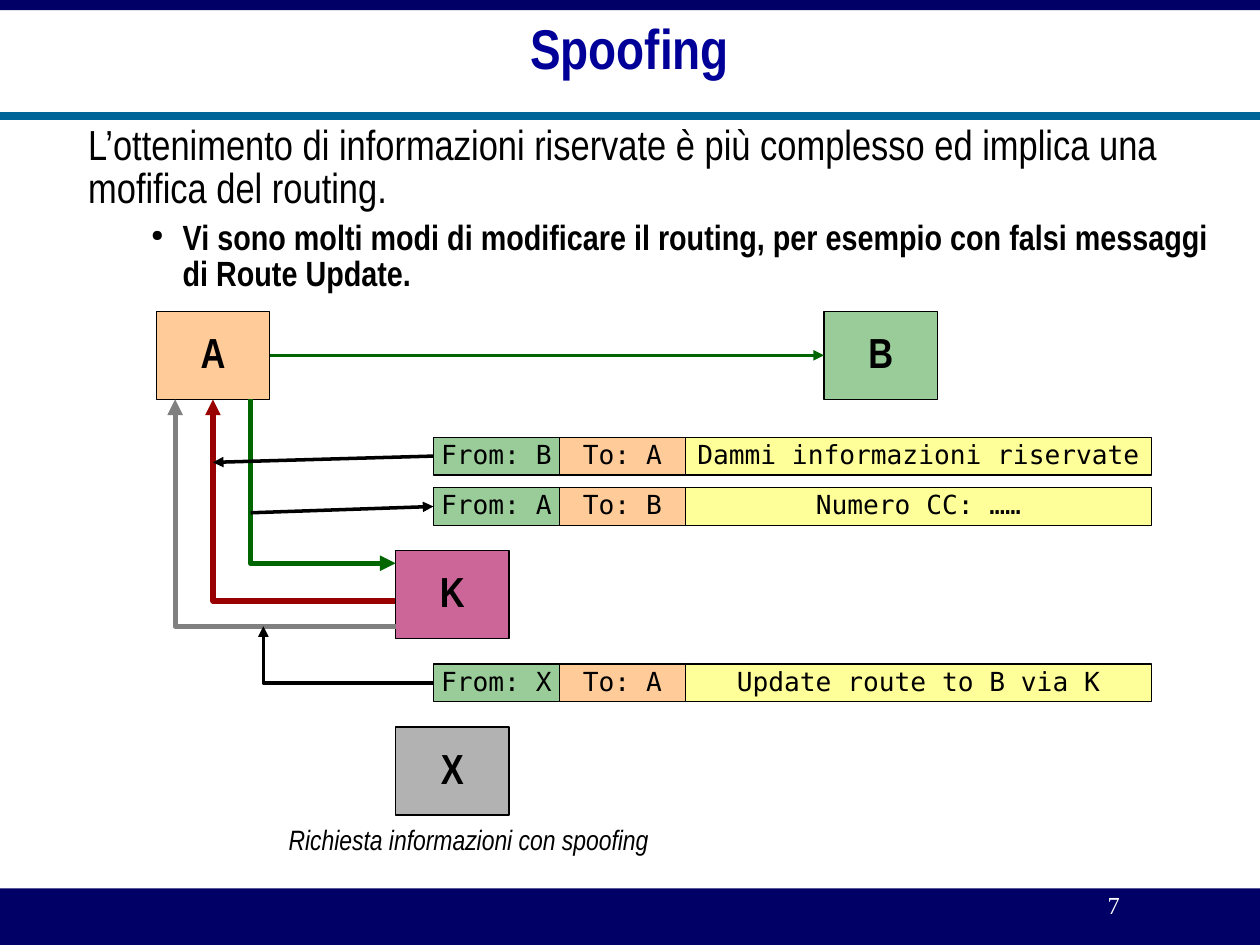
from lxml.etree import SubElement
from pptx import Presentation
from pptx.dml.color import RGBColor
from pptx.enum.shapes import MSO_CONNECTOR, MSO_SHAPE
from pptx.enum.text import MSO_ANCHOR, PP_ALIGN
from pptx.oxml.ns import qn
from pptx.util import Inches, Pt

COLORS = {
    "navy": "000066", "title": "000099", "teal": "006699", "white": "FFFFFF",
    "black": "000000", "green": "99CC99", "orange": "FFCC99", "yellow": "FFFF99",
    "pink": "CC6699", "silver": "B2B2B2", "red": "990000", "grey": "808080",
    "dark green": "006600",
}
FONTS = {
    "title": {"name": "Arial Narrow", "size": Pt(32), "bold": True},
    "lead": {"name": "Arial Narrow", "size": Pt(24), "bold": False},
    "point": {"name": "Arial Narrow", "size": Pt(20), "bold": True},
    "host": {"name": "Arial Narrow", "size": Pt(24), "bold": True},
    "packet": {"name": "DejaVu Sans Mono", "size": Pt(15)},
    "caption": {"name": "Arial Narrow", "size": Pt(16), "italic": True},
    "number": {"name": "Times New Roman", "size": Pt(14)},
}
CELL = 0.1  # inches per grid column and row


class SlideBuilder:
    def __init__(self, slide):
        self.slide = slide
        self.origin = (0, 0)

    def point(self, column, row):
        left, top = self.origin
        return Inches((left + column) * CELL), Inches((top + row) * CELL)

    def size(self, columns, rows):
        return Inches(columns * CELL), Inches(rows * CELL)

    def color(self, name):
        return RGBColor.from_string(COLORS[name])

    def add_text(self, paragraph, text, style, color="black", align=PP_ALIGN.LEFT):
        layout = {"alignment": align, "line_spacing": 0.86}
        for key, value in layout.items():
            setattr(paragraph, key, value)
        run = paragraph.add_run()
        run.text = text
        for key, value in FONTS[style].items():
            setattr(run.font, key, value)
        run.font.color.rgb = self.color(color)

    def frame(self, shape, anchor=MSO_ANCHOR.MIDDLE, wrap=False):
        settings = {"margin_left": 0, "margin_top": 0, "margin_right": 0,
                    "margin_bottom": 0, "vertical_anchor": anchor, "word_wrap": wrap}
        for key, value in settings.items():
            setattr(shape.text_frame, key, value)
        return shape.text_frame

    def box(self, column, row, columns, rows, fill, text="", style="packet", outline="black"):
        shape = self.slide.shapes.add_shape(
            MSO_SHAPE.RECTANGLE, *self.point(column, row), *self.size(columns, rows))
        shape.shadow.inherit = False
        shape.fill.solid()
        shape.fill.fore_color.rgb = self.color(fill)
        if outline:
            shape.line.color.rgb = self.color(outline)
            shape.line.width = Pt(0)
        else:
            shape.line.fill.background()
        if text:
            self.add_text(self.frame(shape).paragraphs[0], text, style, align=PP_ALIGN.CENTER)

    def text_area(self, column, row, columns, rows, anchor=MSO_ANCHOR.TOP, wrap=True):
        area = self.slide.shapes.add_textbox(*self.point(column, row), *self.size(columns, rows))
        return self.frame(area, anchor, wrap)

    def bullet(self, paragraph, indent, hanging=0, char=None):
        properties = paragraph._p.get_or_add_pPr()
        properties.set("marL", str(Inches(indent)))
        properties.set("indent", str(-Inches(hanging)))
        if char:
            bullet_color = SubElement(properties, qn("a:buClr"))
            SubElement(bullet_color, qn("a:srgbClr"), val=COLORS["black"])
            SubElement(properties, qn("a:buSzPct"), val="45000")
            SubElement(properties, qn("a:buChar"), char=char)

    def finish_line(self, line, color, width, arrow):
        line.line.color.rgb = self.color(color)
        line.line.width = Pt(width)
        if arrow:
            SubElement(line.line._get_or_add_ln(), qn(f"a:{arrow}End"), type="triangle")
        SubElement(line._element.spPr, qn("a:effectLst"))

    def straight(self, start, end, color="black", width=0, arrow="tail"):
        line = self.slide.shapes.add_connector(
            MSO_CONNECTOR.STRAIGHT, *self.point(*start), *self.point(*end))
        self.finish_line(line, color, width, arrow)

    def elbow(self, start, end, color="black", width=0, arrow="tail"):
        """One bend: left from start, then up to end."""
        line = self.slide.shapes.add_connector(
            MSO_CONNECTOR.ELBOW, *self.point(*end), *self.point(*start))
        properties = line._element.spPr
        properties.find(qn("a:xfrm")).set("rot", "10800000")
        properties.find(qn("a:prstGeom")).set("prst", "bentConnector2")
        self.finish_line(line, color, width, arrow)


def main():
    deck = Presentation()
    deck.slide_width, deck.slide_height = Inches(10), Inches(7.5)
    page = SlideBuilder(deck.slides.add_slide(deck.slide_layouts[6]))

    # Bands, rule and page number
    page.box(0, 70.5, 100, 4.5, "navy", outline=None)
    page.box(0, 0, 100, 0.8, "navy", outline=None)
    page.straight((0, 9.2), (100, 9.2), "teal", 4.5, arrow=None)
    number = page.text_area(78, 71, 20.8, 2.3)
    page.add_text(number.paragraphs[0], "7", "number", "white", PP_ALIGN.CENTER)

    # Title and body
    title = page.text_area(2, 0, 96, 8.3, MSO_ANCHOR.MIDDLE)
    page.add_text(title.paragraphs[0], "Spoofing", "title", "title", PP_ALIGN.CENTER)
    body = page.text_area(2, 10, 96, 58)
    lead, point = body.paragraphs[0], body.add_paragraph()
    page.add_text(lead, "L’ottenimento di informazioni riservate è più complesso "
                        "ed implica una mofifica del routing.", "lead")
    page.add_text(point, "Vi sono molti modi di modificare il routing, per esempio "
                         "con falsi messaggi di Route Update.", "point")
    lead.space_before, point.space_before = Pt(4.5), Pt(5)
    page.bullet(lead, 0.5)
    page.bullet(point, 1.25, 0.25, "●")

    # Diagram, counted from the corner of host A
    page.origin = (12.4, 24.7)
    page.elbow((19, 23), (4.5, 7), "red", 3)
    hosts = [("A", 0, 0, "orange"), ("B", 53, 0, "green"),
             ("K", 19, 19, "pink"), ("X", 19, 33, "silver")]
    for name, column, row, fill in hosts:
        page.box(column, row, 9, 7, fill, name, "host")

    # Packets: sender, receiver, message
    fields = [(22, 10, "green"), (32, 10, "orange"), (42, 37, "yellow")]
    packets = {
        10: ("From: B", "To: A", "Dammi informazioni riservate"),
        14: ("From: A", "To: B", "Numero CC: ……"),
        28: ("From: X", "To: A", "Update route to B via K"),
    }
    for row, texts in packets.items():
        for (column, columns, fill), text in zip(fields, texts):
            page.box(column, row, columns, 3, fill, text)

    # Routes between hosts
    page.straight((9, 3.5), (53, 3.5), "dark green")
    page.elbow((19, 25), (1.5, 7), "grey", 3)
    page.elbow((19, 20), (7.5, 7), "dark green", 3, arrow="head")

    # Links from packets to routes
    page.elbow((22, 29.5), (8.5, 25))
    page.straight((22, 11.5), (4.5, 12))
    page.straight((7.5, 16), (22, 15.5))

    # Caption
    caption = page.text_area(10.5, 41, 35.5, 2.6, wrap=False)
    page.add_text(caption.paragraphs[0], "Richiesta informazioni con spoofing", "caption")

    deck.save("out.pptx")


if __name__ == "__main__":
    main()
